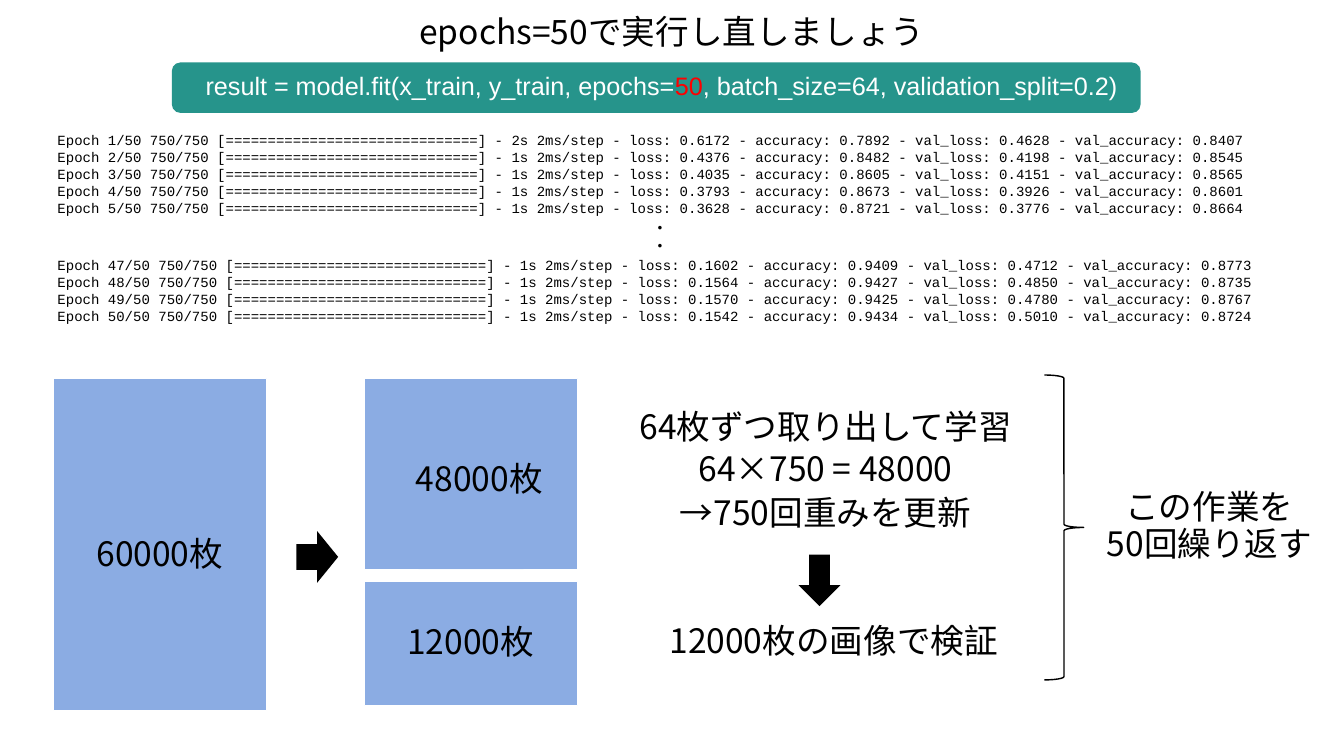
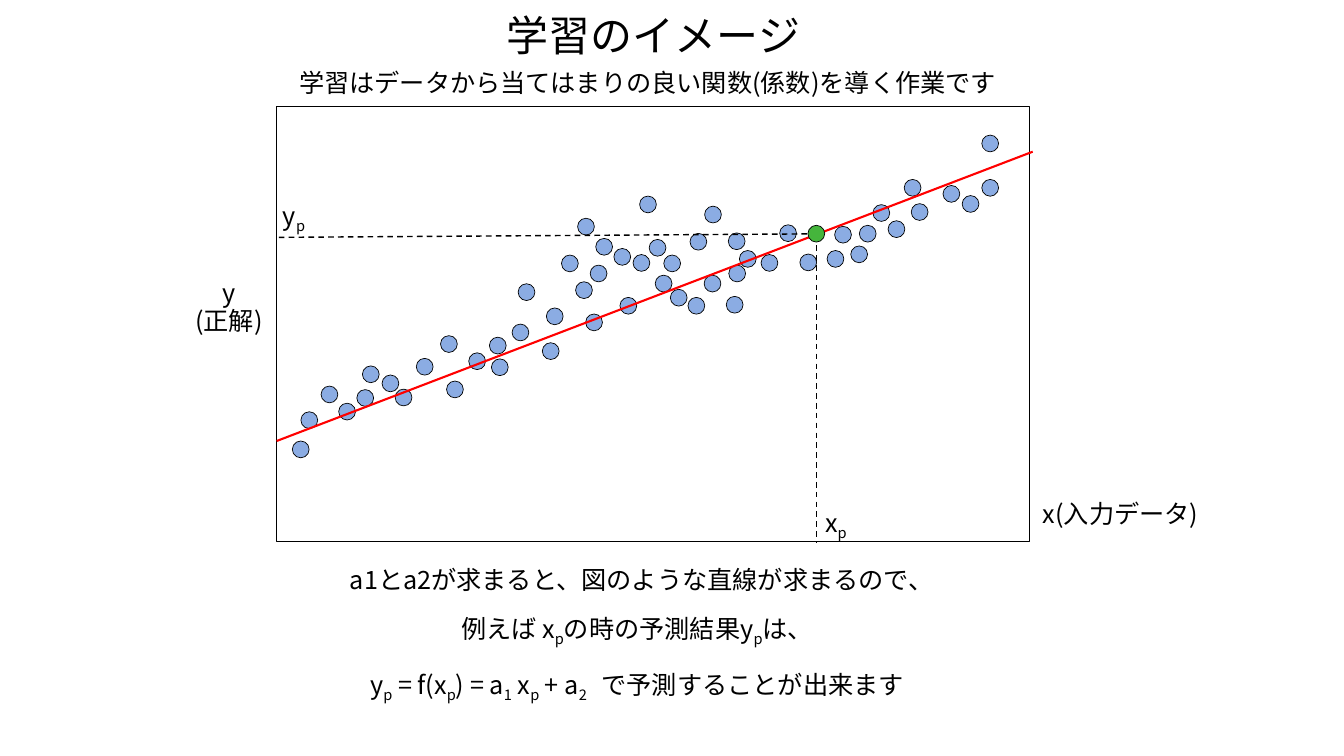
from typing import NamedTuple

from lxml import etree
from pptx import Presentation
from pptx.dml.color import RGBColor
from pptx.enum.dml import MSO_LINE
from pptx.enum.shapes import MSO_CONNECTOR, MSO_SHAPE
from pptx.enum.text import MSO_ANCHOR, MSO_AUTO_SIZE, PP_ALIGN
from pptx.oxml.ns import qn
from pptx.util import Inches, Pt

BLACK = RGBColor(0x00, 0x00, 0x00)
WHITE = RGBColor(0xFF, 0xFF, 0xFF)
RED = RGBColor(0xFF, 0x00, 0x00)
TEAL = RGBColor(0x26, 0x94, 0x8B)
BLUE = RGBColor(0x8B, 0xAC, 0xE3)
GREEN = RGBColor(0x45, 0xB5, 0x3C)

RECTANGLE = MSO_SHAPE.RECTANGLE
ROUNDED = MSO_SHAPE.ROUNDED_RECTANGLE
ARROW = MSO_SHAPE.RIGHT_ARROW
BRACE = MSO_SHAPE.LEFT_BRACE
OVAL = MSO_SHAPE.OVAL
STRAIGHT = MSO_CONNECTOR.STRAIGHT
DASH = MSO_LINE.DASH
LEFT, CENTER = PP_ALIGN.LEFT, PP_ALIGN.CENTER
TOP, MIDDLE = MSO_ANCHOR.TOP, MSO_ANCHOR.MIDDLE
FIT_SHAPE, NO_FIT = MSO_AUTO_SIZE.SHAPE_TO_FIT_TEXT, MSO_AUTO_SIZE.NONE

COLUMNS, ROWS = 80, 45
CELL = Inches(1) / 3
SANS = "Noto Sans CJK JP"
TIGHT = (0.18, 0.18)
LOOSE = (0.3, 0.15)
LINE_HEIGHT = 2.49
LABEL_HEIGHT = 1.98

FIRST_EPOCHS = [
    (1, 2, 0.6172, 0.7892, 0.4628, 0.8407),
    (2, 1, 0.4376, 0.8482, 0.4198, 0.8545),
    (3, 1, 0.4035, 0.8605, 0.4151, 0.8565),
    (4, 1, 0.3793, 0.8673, 0.3926, 0.8601),
    (5, 1, 0.3628, 0.8721, 0.3776, 0.8664),
]
LAST_EPOCHS = [
    (47, 1, 0.1602, 0.9409, 0.4712, 0.8773),
    (48, 1, 0.1564, 0.9427, 0.4850, 0.8735),
    (49, 1, 0.1570, 0.9425, 0.4780, 0.8767),
    (50, 1, 0.1542, 0.9434, 0.5010, 0.8724),
]
SAMPLES = [
    (18.39, 12.36), (16.95, 8.85), (14.01, 12.96), (20.43, 11.37), (18.99, 7.86),
    (16.05, 12), (23.04, 8.85), (21.6, 5.34), (18.66, 9.45), (26.91, 9.45),
    (25.47, 5.94), (22.53, 10.05), (15.81, 14.07), (14.37, 10.56), (11.43, 14.67),
    (26.88, 7.53), (26.76, 11.31), (31.14, 8.79), (24.6, 7.56), (24.48, 11.37),
    (28.83, 8.82), (21.21, 8.82), (33.21, 7.14), (25.44, 10.05), (17.91, 6.66),
    (17.79, 10.44), (22.17, 7.92), (29.94, 7.05), (37.35, 4.35), (34.17, 8.31),
    (37.77, 5.79), (35.49, 5.85), (40.8, 5.31), (7.05, 16.83), (4.77, 16.86),
    (10.11, 16.35), (6.27, 15.99), (8.31, 15), (3.69, 17.67), (12.66, 13.74),
    (20.07, 8.46), (32.76, 8.58), (34.68, 7.08), (41.97, 4.35), (39.66, 4.71),
    (41.97, 1.71), (2.64, 16.65), (1.44, 18.18), (0.93, 19.92), (9.75, 13.65),
    (5.1, 15.45), (36.39, 6.81), (12.78, 15.03), (23.43, 10.89), (27.54, 8.58),
]


class Box(NamedTuple):
    left: float
    top: float
    width: float
    height: float

    def area(self, left, top, width, height):
        return Box(self.left + left, self.top + top, width, height)

    def emu(self):
        return [cells(length) for length in self]


def cells(count):
    return round(count * CELL)


def write(frame, lines, size=48, font=SANS, color=BLACK, mark_color=None,
          align=CENTER, anchor=TOP, spacing=0.9, gap=0, inset=LOOSE,
          wrap=True, fit=FIT_SHAPE):
    frame.word_wrap = wrap
    frame.auto_size = fit
    frame.vertical_anchor = anchor
    frame.margin_left = frame.margin_right = cells(inset[0])
    frame.margin_top = frame.margin_bottom = cells(inset[1])
    for number, line in enumerate(lines):
        paragraph = frame.add_paragraph() if number else frame.paragraphs[0]
        paragraph.alignment = align
        paragraph.line_spacing = spacing
        paragraph.space_before = Pt(gap if number else 0)
        for position, piece in enumerate(line.split("|")):
            marked = position % 2 == 1
            run = paragraph.add_run()
            run.text = piece
            run.font.size = Pt(size)
            run.font.name = font
            run.font.color.rgb = mark_color if marked and mark_color else color
            properties = run.font._element
            etree.SubElement(properties, qn("a:ea"), typeface=font)
            if marked and not mark_color:
                properties.set("baseline", "-25000")


def add_text(slide, box, *lines, **style):
    text = slide.shapes.add_textbox(*box.emu())
    write(text.text_frame, lines, **style)
    return text


def add_title(slide, box, words, size):
    title = slide.shapes.title
    title.left, title.top, title.width, title.height = box.emu()
    write(title.text_frame, [words], size=size, anchor=MIDDLE, inset=TIGHT, fit=NO_FIT)


def add_figure(slide, kind, box, fill=None, line=None, weight=1, turn=0):
    figure = slide.shapes.add_shape(kind, *box.emu())
    figure.shadow.inherit = False
    figure.rotation = turn
    if fill is None:
        figure.fill.background()
    else:
        figure.fill.solid()
        figure.fill.fore_color.rgb = fill
    if line is None:
        figure.line.fill.background()
    else:
        figure.line.color.rgb = line
        figure.line.width = Pt(weight)


def add_line(slide, box, start, end, color=BLACK, weight=2, dash=None):
    ends = [cells(origin + offset) for point in (start, end)
            for origin, offset in zip(box[:2], point)]
    line = slide.shapes.add_connector(STRAIGHT, *ends)
    line.line.color.rgb = color
    line.line.width = Pt(weight)
    if dash:
        line.line.dash_style = dash
    etree.SubElement(line._element.spPr, qn("a:effectLst"))


def add_command(slide, box):
    add_figure(slide, ROUNDED, box, fill=TEAL)
    add_text(slide, box.area(-8.19, 0.51, 74.67, 1.95),
             "result = model.fit(x_train, y_train, epochs=|50|, batch_size=64, validation_split=0.2)",
             size=36, font="Arial", color=WHITE, mark_color=RED)


def add_log(slide, box, epochs):
    bar = "=" * 30
    lines = [f"Epoch {epoch}/50 750/750 [{bar}] - {seconds}s 2ms/step - loss: {loss:.4f}"
             f" - accuracy: {accuracy:.4f} - val_loss: {val_loss:.4f}"
             f" - val_accuracy: {val_accuracy:.4f}"
             for epoch, seconds, loss, accuracy, val_loss, val_accuracy in epochs]
    log = add_text(slide, box, *lines, size=20, font="Courier New", align=LEFT,
                   anchor=MIDDLE, spacing=1.0, inset=(0, 0), wrap=False)
    log.fill.solid()
    log.fill.fore_color.rgb = WHITE


def add_data_split(slide, box):
    width, split_left = 12.69, 18.51
    for left, top, height in [(0, 0, box.height), (split_left, 0, 11.37),
                              (split_left, 12.12, 7.38)]:
        add_figure(slide, RECTANGLE, box.area(left, top, width, height),
                   fill=BLUE, line=WHITE)
    for count, left, top, label_width in [("60000枚", -0.84, 9.36, 14.34),
                                          ("48000枚", 17.13, 4.86, 16.44),
                                          ("12000枚", 19.65, 14.58, 10.38)]:
        add_text(slide, box.area(left, top, label_width, LINE_HEIGHT), count)
    add_figure(slide, ARROW, box.area(14.46, 9.12, 2.49, 3.06), fill=BLACK)


def add_training_loop(slide, box):
    for step, left, top, width in [("64枚ずつ取り出して学習", 0, 1.98, 24.78),
                                   ("64×750 = 48000", 2.64, 4.47, 19.5),
                                   ("→750回重みを更新", 2.64, 7.08, 19.5),
                                   ("12000枚の画像で検証", 0.99, 14.7, 23.76)]:
        add_text(slide, box.area(left, top, width, LINE_HEIGHT), step)
    add_figure(slide, ARROW, box.area(10.5, 10.98, 3.06, 2.49), fill=BLACK, turn=90)
    add_figure(slide, BRACE, box.area(25.41, 0, 2.34, box.height),
               line=BLACK, weight=2, turn=180)
    add_text(slide, box.area(27.72, 6.75, 15.03, 4.68), "この作業を", "50回繰り返す")


def add_scatter(slide, box):
    add_figure(slide, RECTANGLE, box, line=BLACK)
    for left, top in SAMPLES:
        add_figure(slide, OVAL, box.area(left, top, 1, 1), fill=BLUE, line=BLACK)
    add_line(slide, box, (0, 19.92), (45, 2.7), color=RED, weight=3)
    add_line(slide, box, (32.13, 7.68), (32.13, 25.98), dash=DASH)
    add_line(slide, box, (32.16, 7.59), (-0.03, 7.8), dash=DASH)
    add_figure(slide, OVAL, box.area(31.62, 7.08, 1, 1), fill=GREEN, line=BLACK)
    label = {"size": 36, "anchor": MIDDLE, "inset": TIGHT}
    add_text(slide, box.area(-5.46, 10.23, 5.22, 3.6), "y", "(正解)", **label)
    for words, left, top in [("x(入力データ)", 45, 23.37), ("x|p|", 28.05, 23.82),
                             ("y|p|", -4.2, 5.55)]:
        add_text(slide, box.area(left, top, 10.47, LABEL_HEIGHT), words, **label)


def add_explanation(slide, box):
    style = {"size": 36, "anchor": MIDDLE, "inset": TIGHT}
    add_text(slide, box.area(0.27, 0, box.width, LABEL_HEIGHT),
             "a1とa2が求まると、図のような直線が求まるので、", **style)
    add_text(slide, box.area(0, 2.88, box.width, 5.25),
             "例えば x|p|の時の予測結果y|p|は、",
             "y|p| = f(x|p|) = a|1| x|p| + a|2　|で予測することが出来ます",
             gap=36, **style)


def build_epochs_slide(slide, page):
    add_title(slide, page.area(22.83, 0.72, 34.32, 2.52), "epochs=50で実行し直しましょう", 48)
    add_command(slide, page.area(10.23, 3.72, 57.66, 3))
    add_log(slide, page.area(3.42, 7.83, 71.7, 5.04), FIRST_EPOCHS)
    add_text(slide, page.area(38.19, 12.93, 2.19, 2.52), "・", "・",
             size=24, font="Calibri", anchor=MIDDLE, inset=TIGHT)
    add_log(slide, page.area(3.42, 15.27, 72.21, 4.05), LAST_EPOCHS)
    add_data_split(slide, page.area(3.18, 22.5, 31.2, 19.77))
    add_training_loop(slide, page.area(36.75, 22.32, 42.75, 18.15))


def build_learning_slide(slide, page):
    add_title(slide, page.area(21.78, 0.75, 34.23, 3.06), "学習のイメージ", 60)
    add_text(slide, page.area(10.68, 4.02, 55.74, LABEL_HEIGHT),
             "学習はデータから当てはまりの良い関数(係数)を導く作業です",
             size=36, anchor=MIDDLE, inset=TIGHT)
    add_scatter(slide, page.area(16.47, 6.33, 44.79, 25.92))
    add_explanation(slide, page.area(10.05, 33.6, 55.74, 8.13))


def main():
    deck = Presentation()
    deck.slide_width, deck.slide_height = cells(COLUMNS), cells(ROWS)
    title_only = deck.slide_layouts[5]
    page = Box(0, 0, COLUMNS, ROWS)
    for build in (build_epochs_slide, build_learning_slide):
        build(deck.slides.add_slide(title_only), page)
    deck.save("out.pptx")


if __name__ == "__main__":
    main()
